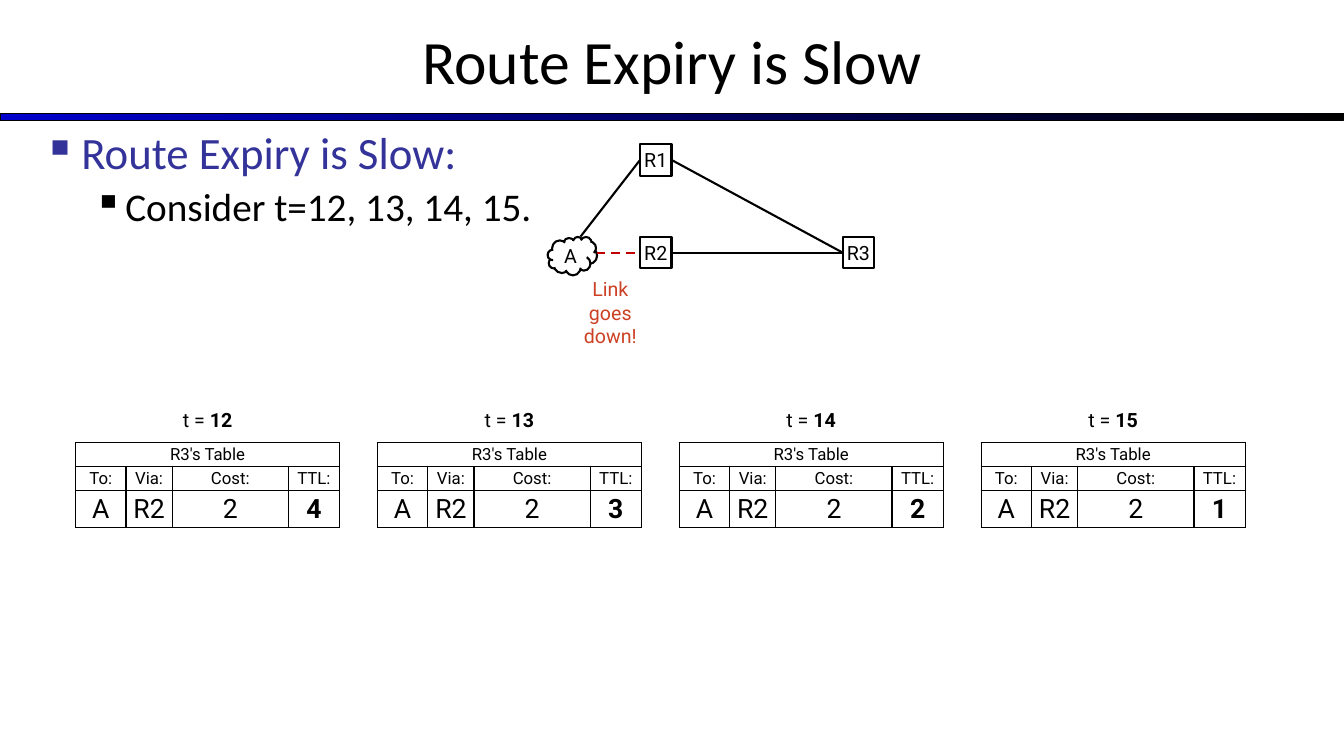
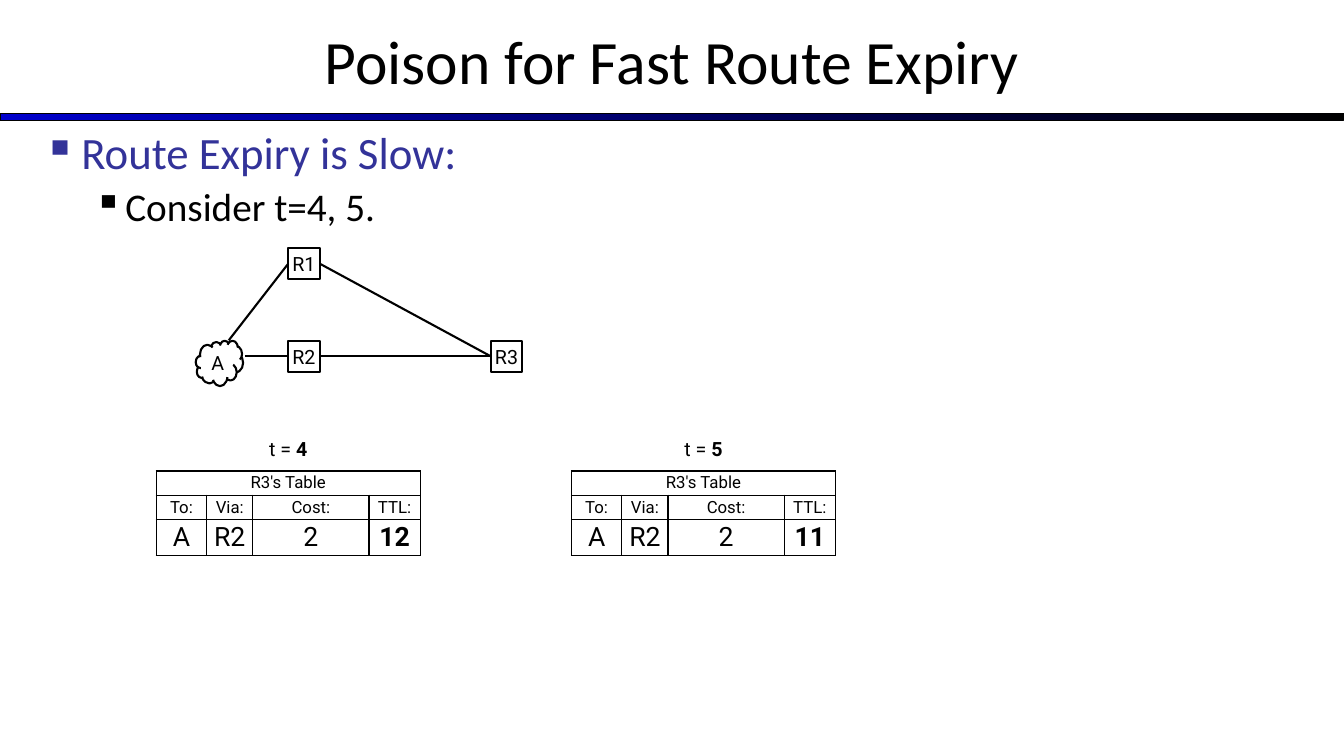
from lxml import etree
from pptx import Presentation
from pptx.dml.color import RGBColor
from pptx.enum import dml, shapes, text
from pptx.oxml import ns
from pptx.util import Pt

color = RGBColor.from_string
BLACK, WHITE, BLUE, INDIGO = "000000", "FFFFFF", "0000CC", "333399"
DOWN_LINE, DOWN_TEXT = "C00000", "CC4125"
HEADING_FONT, DIAGRAM_FONT = "Calibri", "Roboto"
TOP, MIDDLE = text.MSO_ANCHOR.TOP, text.MSO_ANCHOR.MIDDLE
LEFT, CENTER = text.PP_ALIGN.LEFT, text.PP_ALIGN.CENTER

SLIDE_WIDTH = 960
NODE_SIZE = 22.5
ROUTERS = {"R1": (0, 0), "R2": (0, 66.2), "R3": (144.7, 66.2)}  # offsets from R1
CLOUD_X, CLOUD_Y = -66, 66.2
LINKS = [("R1", "R3"), ("R2", "R3")]
CLOUD_LINKS = {"R1": (-42.5, 66), "R2": (-31, 66.2 + NODE_SIZE / 2)}
COLUMNS = [36, 33, 83, 36.6]
ROWS = [17, 17, 26]
LABEL_WIDTH, LABEL_HEIGHT, LABEL_RISE = 55.4, 21.6, 26.6

SLIDES = [
    dict(title="Route Expiry is Slow", detail="Consider t=12, 13, 14, 15.",
         r1=(457.2, 103), cloud=(35.3, 27.4), link_down=True,
         table_at=(54, 316), table_step=215.6,
         ttls=[("12", "4"), ("13", "3"), ("14", "2"), ("15", "1")]),
    dict(title="Poison for Fast Route Expiry", detail="Consider t=4, 5.",
         r1=(205.9, 177.1), cloud=(33.8, 32.4), link_down=False,
         table_at=(111.6, 336.4), table_step=296.6,
         ttls=[("4", "12"), ("5", "11")]),
]


def write(paragraph, runs, size, font=DIAGRAM_FONT, ink=BLACK, align=CENTER):
    """Add (words, bold) runs to a paragraph."""
    paragraph.alignment = align
    for words, bold in runs:
        run = paragraph.add_run()
        run.text = words
        run.font.size = Pt(size)
        run.font.name = font
        run.font.bold = bold
        run.font.color.rgb = color(ink)


def set_margins(holder, across, down, anchor):
    """Set the insets and anchor of a text frame or a table cell."""
    holder.margin_left = holder.margin_right = Pt(across)
    holder.margin_top = holder.margin_bottom = Pt(down)
    holder.vertical_anchor = anchor
    holder.word_wrap = True if hasattr(holder, "word_wrap") else None


prs = Presentation()
prs.slide_width, prs.slide_height = Pt(SLIDE_WIDTH), Pt(540)

for content in SLIDES:
    slide = prs.slides.add_slide(prs.slide_layouts[6])

    # Title and band
    band = slide.shapes.add_shape(shapes.MSO_SHAPE.RECTANGLE, 0, Pt(81), Pt(SLIDE_WIDTH), Pt(5))
    band.shadow.inherit = False
    band.fill.gradient()
    band.fill.gradient_angle = 0
    for stop, shade in zip(band.fill.gradient_stops, (BLUE, BLACK)):
        stop.color.rgb = color(shade)
    band.line.color.rgb = color(BLACK)
    band.line.width = Pt(0.75)

    title = slide.shapes.add_textbox(0, Pt(-2), Pt(SLIDE_WIDTH), Pt(90)).text_frame
    set_margins(title, 7.2, 3.6, MIDDLE)
    write(title.paragraphs[0], [(content["title"], False)], 44, HEADING_FONT)

    # Bullets
    body = slide.shapes.add_textbox(Pt(24), Pt(90), Pt(906), Pt(104)).text_frame
    set_margins(body, 7.2, 3.6, TOP)
    bullets = [("Route Expiry is Slow:", 32, INDIGO, 27, -27, 0),
               (content["detail"], 28, BLACK, 58.5, -22.5, 5.6)]
    for level, (words, size, ink, margin, indent, before) in enumerate(bullets):
        paragraph = body.add_paragraph() if level else body.paragraphs[0]
        paragraph.level = level
        paragraph.line_spacing = 0.9
        paragraph.space_before = Pt(before)
        write(paragraph, [(words, False)], size, HEADING_FONT, ink, LEFT)
        properties = paragraph._p.get_or_add_pPr()
        properties.set("marL", str(Pt(margin)))
        properties.set("indent", str(Pt(indent)))
        bullet_color = etree.SubElement(properties, ns.qn("a:buClr"))
        etree.SubElement(bullet_color, ns.qn("a:srgbClr"), val=ink)
        etree.SubElement(properties, ns.qn("a:buChar"), char="▪")

    # Network nodes
    r1_x, r1_y = content["r1"]
    boxes = [(name, shapes.MSO_SHAPE.RECTANGLE, dx, dy, NODE_SIZE, NODE_SIZE)
             for name, (dx, dy) in ROUTERS.items()]
    boxes.append(("A", shapes.MSO_SHAPE.CLOUD, CLOUD_X, CLOUD_Y, *content["cloud"]))
    nodes = {}
    for name, outline, dx, dy, width, height in boxes:
        node = slide.shapes.add_shape(outline, Pt(r1_x + dx), Pt(r1_y + dy), Pt(width), Pt(height))
        node.shadow.inherit = False
        node.fill.solid()
        node.fill.fore_color.rgb = color(WHITE)
        node.line.color.rgb = color(BLACK)
        node.line.width = Pt(1.5)
        set_margins(node.text_frame, 0, 0, MIDDLE)
        write(node.text_frame.paragraphs[0], [(name, False)], 14)
        nodes[name] = node

    # Network links
    links = []
    for start, end in LINKS:
        link = slide.shapes.add_connector(shapes.MSO_CONNECTOR.STRAIGHT, 0, 0, 0, 0)
        link.begin_connect(nodes[start], 3)
        link.end_connect(nodes[end], 1)
        links.append((link, False))
    for router, (dx, dy) in CLOUD_LINKS.items():
        x, y = Pt(r1_x + dx), Pt(r1_y + dy)
        link = slide.shapes.add_connector(shapes.MSO_CONNECTOR.STRAIGHT, x, y, x, y)
        link.end_connect(nodes[router], 1)
        links.append((link, content["link_down"] and router == "R2"))
    for link, is_down in links:
        link.line.color.rgb = color(DOWN_LINE if is_down else BLACK)
        link.line.width = Pt(1.5)
        if is_down:
            link.line.dash_style = dml.MSO_LINE.DASH
        etree.SubElement(link._element.spPr, ns.qn("a:effectLst"))

    if content["link_down"]:
        warning = slide.shapes.add_textbox(Pt(414.7), Pt(195.8), Pt(42.5), Pt(55.4)).text_frame
        set_margins(warning, 2.2, 2.2, TOP)
        write(warning.paragraphs[0], [("Link goes down!", False)], 14, ink=DOWN_TEXT)

    # Routing tables over time
    first_left, table_top = content["table_at"]
    for index, (time, ttl) in enumerate(content["ttls"]):
        left = first_left + index * content["table_step"]
        routes = slide.shapes.add_table(len(ROWS), len(COLUMNS), Pt(left), Pt(table_top),
                                        Pt(sum(COLUMNS)), Pt(sum(ROWS))).table
        routes.first_row = routes.horz_banding = False
        for column, width in zip(routes.columns, COLUMNS):
            column.width = Pt(width)
        for row, height in zip(routes.rows, ROWS):
            row.height = Pt(height)
        routes.cell(0, 0).merge(routes.cell(0, len(COLUMNS) - 1))

        entries = [["R3's Table"], ["To:", "Via:", "Cost:", "TTL:"], ["A", "R2", "2", ttl]]
        for row, words in enumerate(entries):
            for column in range(len(COLUMNS)):
                cell = routes.cell(row, column)
                set_margins(cell, 0, 1.44, MIDDLE)
                for side in ("lnL", "lnR", "lnT", "lnB"):
                    border = etree.SubElement(cell._tc.get_or_add_tcPr(), ns.qn(f"a:{side}"),
                                              w=str(Pt(1)))
                    paint = etree.SubElement(border, ns.qn("a:solidFill"))
                    etree.SubElement(paint, ns.qn("a:srgbClr"), val=BLACK)
                cell.fill.background()
                if column < len(words):
                    is_ttl = row == 2 and column == 3
                    write(cell.text_frame.paragraphs[0], [(words[column], is_ttl)],
                          19 if row == 2 else 12)

        label_left = left + (sum(COLUMNS) - LABEL_WIDTH) / 2
        label = slide.shapes.add_textbox(Pt(label_left), Pt(table_top - LABEL_RISE),
                                         Pt(LABEL_WIDTH), Pt(LABEL_HEIGHT))
        label.fill.solid()
        label.fill.fore_color.rgb = color(WHITE)
        set_margins(label.text_frame, 2.2, 2.2, TOP)
        write(label.text_frame.paragraphs[0], [("t = ", False), (time, True)], 14)

prs.save("out.pptx")
